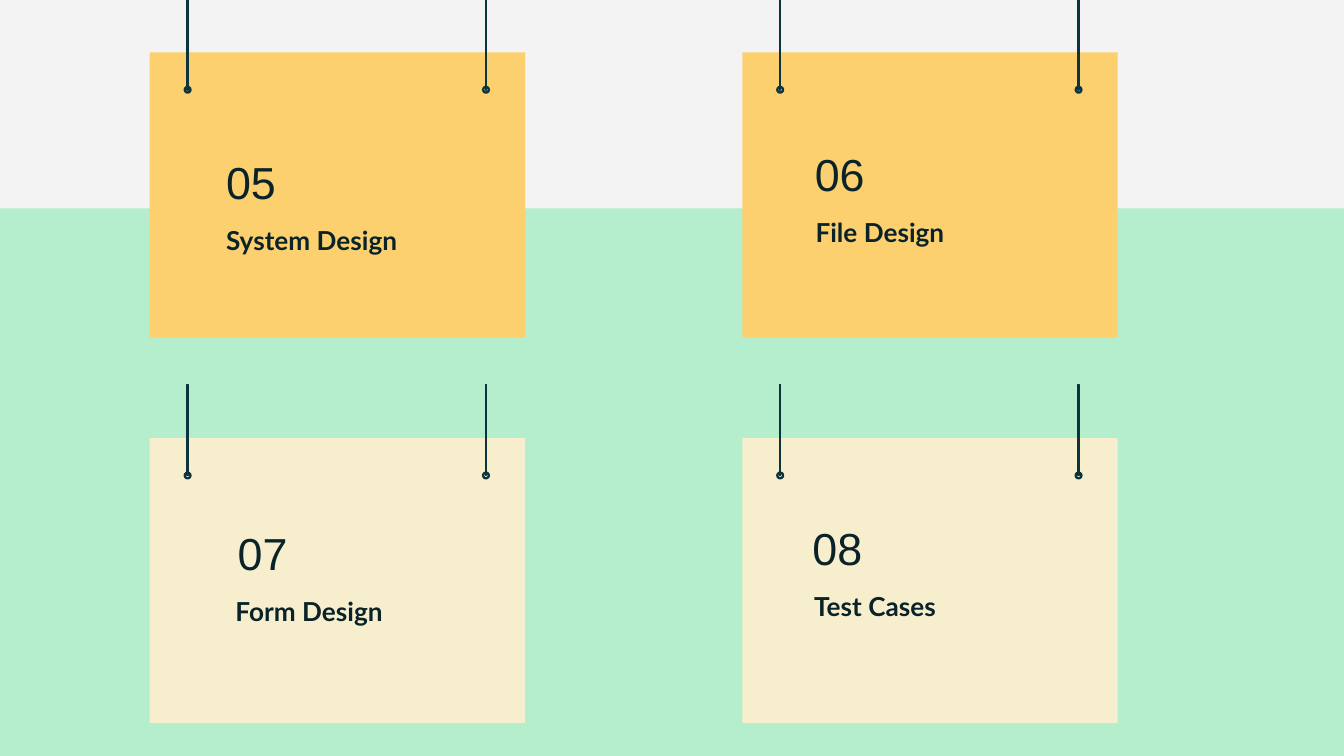
from dataclasses import dataclass
from typing import Any

from pptx import Presentation
from pptx.dml.color import RGBColor
from pptx.enum.shapes import MSO_SHAPE as Preset
from pptx.enum.text import MSO_ANCHOR as Anchor
from pptx.util import Inches, Pt

COLUMNS, ROWS = 100, 56.25
CARD_WIDTH, CARD_HEIGHT = 27.94, 21.2
CARD_COLUMNS, CARD_ROWS = (11.14, 55.23), (3.9, 32.6)
YELLOW, CREAM = "FCD06F", "F7EECE"


def color(value):
    return RGBColor.from_string(value)


@dataclass
class Board:
    slide: Any
    cell: int = Inches(0.1)
    ink: str = "092329"
    string_color: str = "0C343D"
    number_font: str = "Arial"
    label_font: str = "Lato"

    def place(self, *lengths):
        return [round(length * self.cell) for length in lengths]

    def background(self, fill):
        self.slide.background.fill.solid()
        self.slide.background.fill.fore_color.rgb = color(fill)

    def shape(self, parent, preset, box, fill, line=None):
        shape = parent.shapes.add_shape(preset, *self.place(*box))
        shape.shadow.inherit = False
        shape.fill.solid()
        shape.fill.fore_color.rgb = color(fill)
        if line:
            shape.line.color.rgb = color(line)
            shape.line.width = Pt(0.75)
        else:
            shape.line.fill.background()
        return shape

    def card(self, left, top, fill, string_fill):
        group = self.slide.shapes.add_group_shape()
        self.shape(group, Preset.RECTANGLE, (left, top, CARD_WIDTH, CARD_HEIGHT), fill)
        for offset in (2.57, 24.77):
            ring = self.shape(group, Preset.DONUT, (left + offset, top + 2.53, 0.5, 0.5),
                              string_fill, self.string_color)
            ring.adjustments[0] = 0.15
            self.shape(group, Preset.RECTANGLE, (left + offset + 0.2, top - 4, 0.1, 6.8),
                       string_fill, self.string_color)

    def text(self, box, content, font, size, bold=False, anchor=Anchor.TOP):
        text_frame = self.slide.shapes.add_textbox(*self.place(*box)).text_frame
        text_frame.word_wrap = True
        text_frame.vertical_anchor = anchor
        text_frame.margin_left = text_frame.margin_right = self.cell
        text_frame.margin_top = text_frame.margin_bottom = self.cell
        text_frame.text = content
        run_font = text_frame.paragraphs[0].runs[0].font
        run_font.name = font
        run_font.size = Pt(size)
        run_font.bold = bold
        run_font.color.rgb = color(self.ink)

    def heading(self, number, label, number_left, label_left, top, width=19):
        self.text((number_left, top, width, 6.3), number, self.number_font, 24,
                  anchor=Anchor.BOTTOM)
        self.text((label_left, top + 5.5, 19, 7.7), label, self.label_font, 14, bold=True)


def main():
    presentation = Presentation()
    presentation.slide_width = Inches(COLUMNS / 10)
    presentation.slide_height = Inches(ROWS / 10)
    board = Board(presentation.slides.add_slide(presentation.slide_layouts[6]))

    board.background("F3F3F3")
    board.shape(board.slide, Preset.RECTANGLE, (-0.3, 15.5, 100.5, 40.75), "B5EECC")

    left, right = CARD_COLUMNS
    upper, lower = CARD_ROWS
    dark = board.string_color
    cards = [
        (left, upper, YELLOW, dark, "05", "System Design", 15.84, 15.84, 10.2),
        (right, upper, YELLOW, dark, "06", "File Design", 59.64, 59.7, 9.6),
        (left, lower, CREAM, CREAM, "07", "Form Design", 16.7, 16.54, 37.83),
        (right, lower, CREAM, dark, "08", "Test Cases", 59.47, 59.6, 37.43, 19.7),
    ]
    for card_left, card_top, fill, string_fill, *heading in cards:
        board.card(card_left, card_top, fill, string_fill)
        board.heading(*heading)

    presentation.save("out.pptx")


if __name__ == "__main__":
    main()
